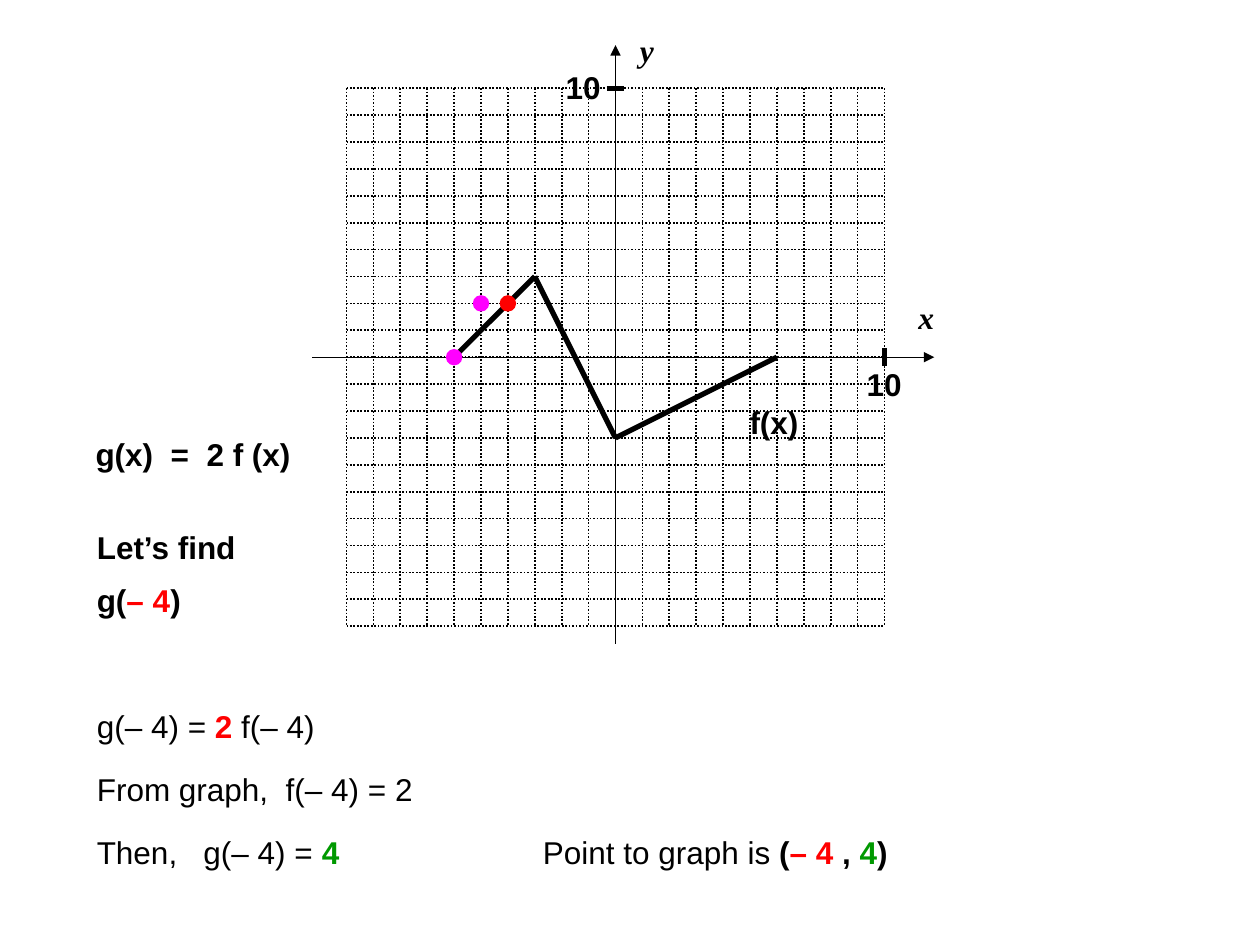
from itertools import pairwise

from lxml import etree
from pptx import Presentation
from pptx.dml.color import RGBColor
from pptx.enum.dml import MSO_LINE
from pptx.enum.shapes import MSO_CONNECTOR, MSO_SHAPE
from pptx.enum.text import MSO_ANCHOR, MSO_AUTO_SIZE
from pptx.oxml.ns import qn
from pptx.util import Inches, Pt

STRAIGHT, OVAL = MSO_CONNECTOR.STRAIGHT, MSO_SHAPE.OVAL
DOTTED = MSO_LINE.ROUND_DOT  # written as sysDot
COLORS = {"ink": "000000", "red": "FF0000", "green": "009900", "magenta": "FF00FF"}

# Coordinate plane: 10 units each way from the origin
LIMIT = 10
GRID_LEFT, GRID_TOP, GRID_SIZE = 2.75, 0.7, 4.27
UNIT = GRID_SIZE / (2 * LIMIT)
DOT_SIZE = 0.12
TICK = 0.33  # half length, in units

F_POINTS = [(-6, 0), (-3, 3), (0, -3), (6, 0)]
DOTS = [((-6, 0), "magenta"), ((-5, 2), "magenta"), ((-4, 2), "red")]
AXES = [((0, 11.6), (0, -10.65)), ((11.85, 0), (-11.3, 0))]  # arrow at the first end
TICKS = [((LIMIT, TICK), (LIMIT, -TICK)), ((-TICK, LIMIT), (TICK, LIMIT))]

# Labels: left, top, width, text
AXIS_NAMES = [(4.98, 0.2, 0.31, "y"), (7.19, 2.32, 0.32, "x")]
GRAPH_LABELS = [
    (6.78, 2.85, 0.48, "10"),
    (4.39, 0.49, 0.48, "10"),
    (5.85, 3.15, 0.59, "f(x)"),
]

# Working: left, top, width, runs of (text, colour, bold)
MARGIN = 0.67
ROW_TOP, ROW_STEP = 5.56, 0.5
WORKING = [
    (0.66, 3.4, 1.75, [("g(x)  =  2 f (x)", "ink", True)]),
    (MARGIN, 4.14, 1.31, [("Let’s find", "ink", True)]),
    (MARGIN, 4.56, 0.9, [("g(", "ink", True), ("– 4", "red", True), (")", "ink", True)]),
    (MARGIN, ROW_TOP, 2.04, [
        ("g(– 4) = ", "ink", False), ("2", "red", True), (" f(– 4)", "ink", False)]),
    (MARGIN, ROW_TOP + ROW_STEP, 2.75, [("From graph,  f(– 4) = 2", "ink", False)]),
    (MARGIN, ROW_TOP + 2 * ROW_STEP, 2.16, [
        ("Then,   g(– 4) = ", "ink", False), ("4", "green", True)]),
    (4.21, ROW_TOP + 2 * ROW_STEP, 2.97, [
        ("Point to graph is ", "ink", False), ("(", "ink", True), ("– 4", "red", True),
        (" , ", "ink", True), ("4", "green", True), (")", "ink", True)]),
]


def color(name):
    return RGBColor.from_string(COLORS[name])


def to_page(point):
    """Turn plane coordinates into inches on the page."""
    x, y = point
    return GRID_LEFT + (x + LIMIT) * UNIT, GRID_TOP + (LIMIT - y) * UNIT


def add_line(page, start, end, width, dash=None, arrow=False):
    """Draw a line between two points of the plane."""
    ends = [Inches(value) for value in (*to_page(start), *to_page(end))]
    connector = page.shapes.add_connector(STRAIGHT, *ends)
    connector.line.color.rgb = color("ink")
    connector.line.width = Pt(width)
    if dash:
        connector.line.dash_style = dash
    if arrow:
        outline = connector.line._get_or_add_ln()
        etree.SubElement(outline, qn("a:headEnd"), type="triangle")
    etree.SubElement(connector._element.spPr, qn("a:effectLst"))


def add_dot(page, point, name):
    x, y = to_page(point)
    dot = page.shapes.add_shape(
        OVAL, Inches(x - DOT_SIZE / 2), Inches(y - DOT_SIZE / 2),
        Inches(DOT_SIZE), Inches(DOT_SIZE))
    dot.shadow.inherit = False
    dot.fill.solid()
    dot.fill.fore_color.rgb = color(name)
    dot.line.color.rgb = color(name)
    dot.line.width = Pt(0.75)


def add_text(page, left, top, width, runs, font="Arial", italic=False):
    box = page.shapes.add_textbox(Inches(left), Inches(top), Inches(width), Inches(0.4))
    frame = box.text_frame
    frame.word_wrap = False
    frame.auto_size = MSO_AUTO_SIZE.SHAPE_TO_FIT_TEXT
    frame.vertical_anchor = MSO_ANCHOR.TOP
    para = frame.paragraphs[0]
    para.font.name = font
    para.font.size = Pt(18)
    para.font.italic = italic
    for text, name, bold in runs:
        span = para.add_run()
        span.text = text
        span.font.bold = bold
        span.font.color.rgb = color(name)


def main():
    deck = Presentation()
    deck.slide_width, deck.slide_height = Inches(10), Inches(7.5)
    page = deck.slides.add_slide(deck.slide_layouts[6])

    for start, end in pairwise(F_POINTS):
        add_line(page, start, end, 3)
    for step in range(-LIMIT, LIMIT + 1):
        add_line(page, (step, LIMIT), (step, -LIMIT), 1, DOTTED)
        add_line(page, (-LIMIT, step), (LIMIT, step), 1, DOTTED)
    for start, end in AXES:
        add_line(page, start, end, 0.75, arrow=True)
    for start, end in TICKS:
        add_line(page, start, end, 3)
    for point, name in DOTS:
        add_dot(page, point, name)

    for *place, text in AXIS_NAMES:
        add_text(page, *place, [(text, "ink", True)], "Times New Roman", italic=True)
    for *place, text in GRAPH_LABELS:
        add_text(page, *place, [(text, "ink", True)])
    for *place, runs in WORKING:
        add_text(page, *place, runs)

    deck.save("out.pptx")


if __name__ == "__main__":
    main()
